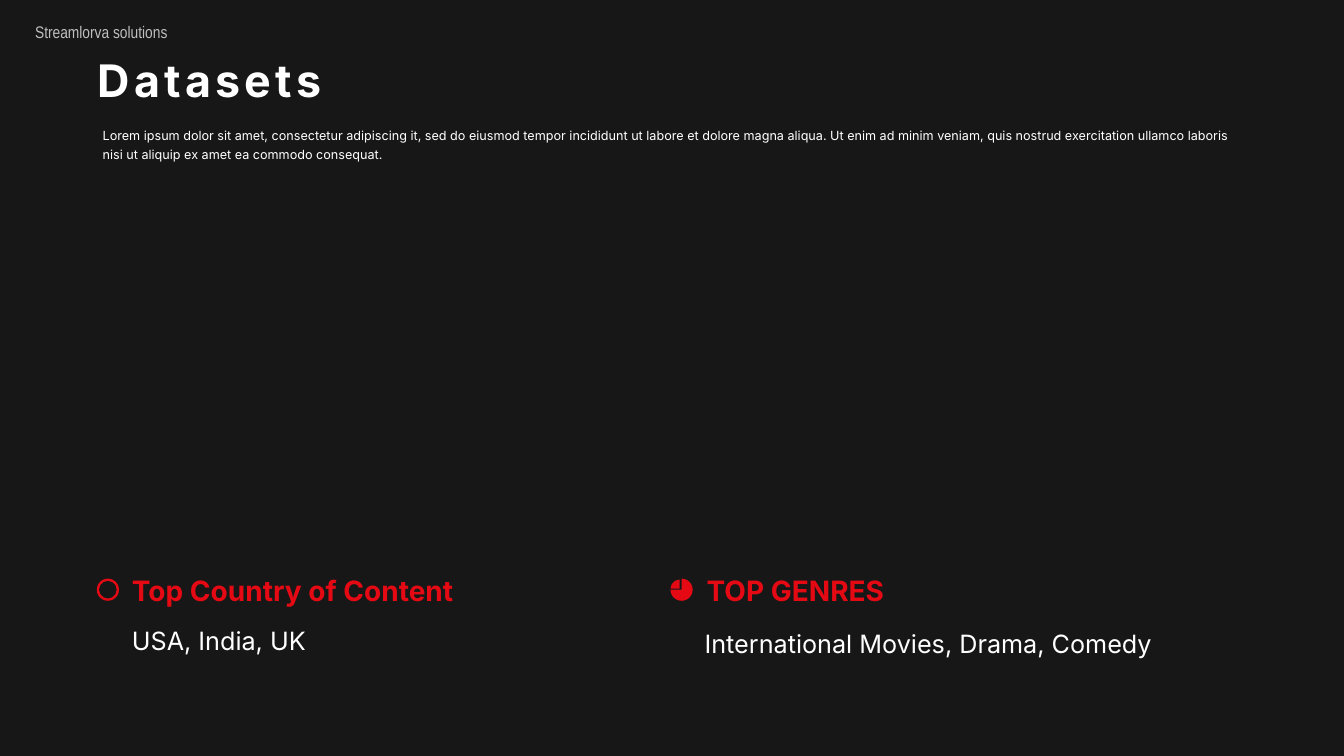
"""Build the Datasets slide with its two highlighted findings."""
from pptx import Presentation
from pptx.dml.color import RGBColor
from pptx.enum.shapes import MSO_SHAPE as Shape
from pptx.enum.text import MSO_ANCHOR as Anchor, MSO_AUTO_SIZE as AutoSize, PP_ALIGN as Align
from pptx.util import Inches, Pt

COLORS = {"background": "181717", "accent": "E50914", "text": "FFFFFF", "muted": "BFBFBF"}


def write(shape, box, text, size, color="text", bold=False, font="Inter", wrap=False):
    """Place a text shape and format its single paragraph."""
    shape.left, shape.top, shape.width, shape.height = map(Inches, box)
    frame = shape.text_frame
    frame.text = text
    frame.word_wrap = wrap
    frame.auto_size = AutoSize.SHAPE_TO_FIT_TEXT
    frame.vertical_anchor = Anchor.TOP
    paragraph = frame.paragraphs[0]
    paragraph.alignment = Align.LEFT
    run = paragraph.runs[0]
    run.font.name = font
    run.font.size = Pt(size)
    run.font.bold = bold
    run.font.color.rgb = RGBColor.from_string(COLORS[color])
    return paragraph


def paint(shape):
    """Give an icon part a flat accent fill."""
    shape.shadow.inherit = False
    shape.fill.solid()
    shape.fill.fore_color.rgb = RGBColor.from_string(COLORS["accent"])
    shape.line.fill.background()


presentation = Presentation()
presentation.slide_width, presentation.slide_height = Inches(13.33), Inches(7.5)
slide = presentation.slides.add_slide(presentation.slide_layouts[5])
slide.background.fill.solid()
slide.background.fill.fore_color.rgb = RGBColor.from_string(COLORS["background"])
shapes = slide.shapes

title = write(shapes.title, (0.87, 0.47, 2.5, 0.64), "Datasets", 32, bold=True)
title.runs[0].font._element.set("spc", "300")

company = shapes.add_textbox(0, 0, 0, 0)
write(company, (0.25, 0.17, 2.17, 0.3), "Streamlorva solutions", 12, "muted",
      font="Arial Narrow", wrap=True)

introduction = write(
    shapes.add_textbox(0, 0, 0, 0), (0.92, 1.17, 11.46, 0.48),
    "Lorem ipsum dolor sit amet, consectetur adipiscing it, sed do eiusmod tempor "
    "incididunt ut labore et dolore magna aliqua. Ut enim ad minim veniam, quis nostrud "
    "exercitation ullamco laboris nisi ut aliquip ex amet ea commodo consequat.",
    9, wrap=True)
introduction.line_spacing = 1.3

HEADING_TOP = 5.64
findings = [
    ("Top Country of Content", 1.21, 3.43, "USA, India, UK", 1.21, 6.15, 1.93),
    ("TOP GENRES", 6.91, 1.98, "International Movies, Drama, Comedy", 6.89, 6.18, 4.67),
]
for heading, left, width, answer, answer_left, answer_top, answer_width in findings:
    write(shapes.add_textbox(0, 0, 0, 0), (left, HEADING_TOP, width, 0.44),
          heading, 20, "accent", bold=True)
    write(shapes.add_textbox(0, 0, 0, 0), (answer_left, answer_top, answer_width, 0.4),
          answer, 18)

ICON_TOP = HEADING_TOP + 0.1
QUARTER_TURN = 54
icon_parts = [
    (Shape.DONUT, 0.96, ICON_TOP, 0.22, [0.1]),
    (Shape.PIE, 6.65, ICON_TOP, 0.22, [3 * QUARTER_TURN, 2 * QUARTER_TURN]),
    (Shape.PIE, 6.65, ICON_TOP + 0.01, 0.18, [2 * QUARTER_TURN, 3 * QUARTER_TURN]),
]
for preset, left, top, size, adjustments in icon_parts:
    part = shapes.add_shape(preset, Inches(left), Inches(top), Inches(size), Inches(size))
    for index, value in enumerate(adjustments):
        part.adjustments[index] = value
    paint(part)

hand_points = [(1.06, 5.79), (1.08, 5.79), (1.08, 5.84), (1.11, 5.88), (1.1, 5.9), (1.06, 5.85)]
clock_hands = shapes.build_freeform(*hand_points[0], scale=Inches(1))
clock_hands.add_line_segments(hand_points[1:], close=True)
paint(clock_hands.convert_to_shape())

presentation.save("out.pptx")
